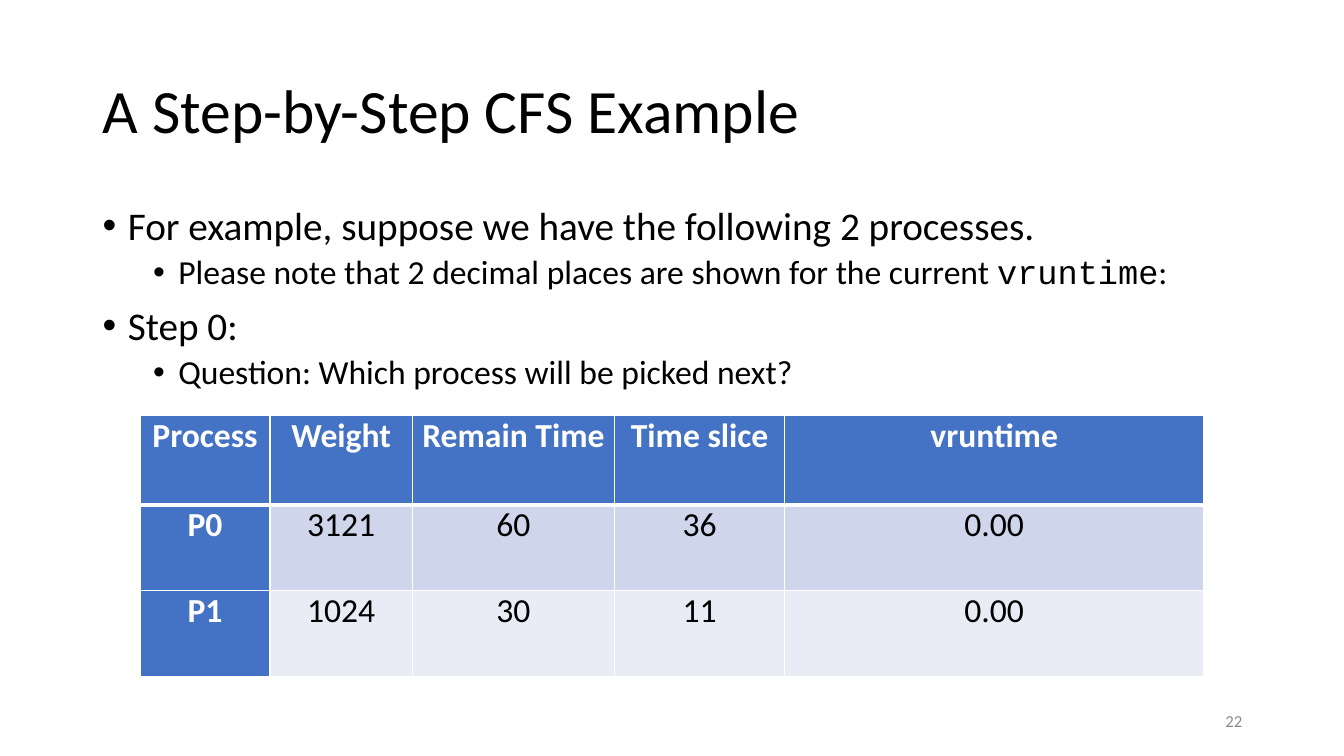
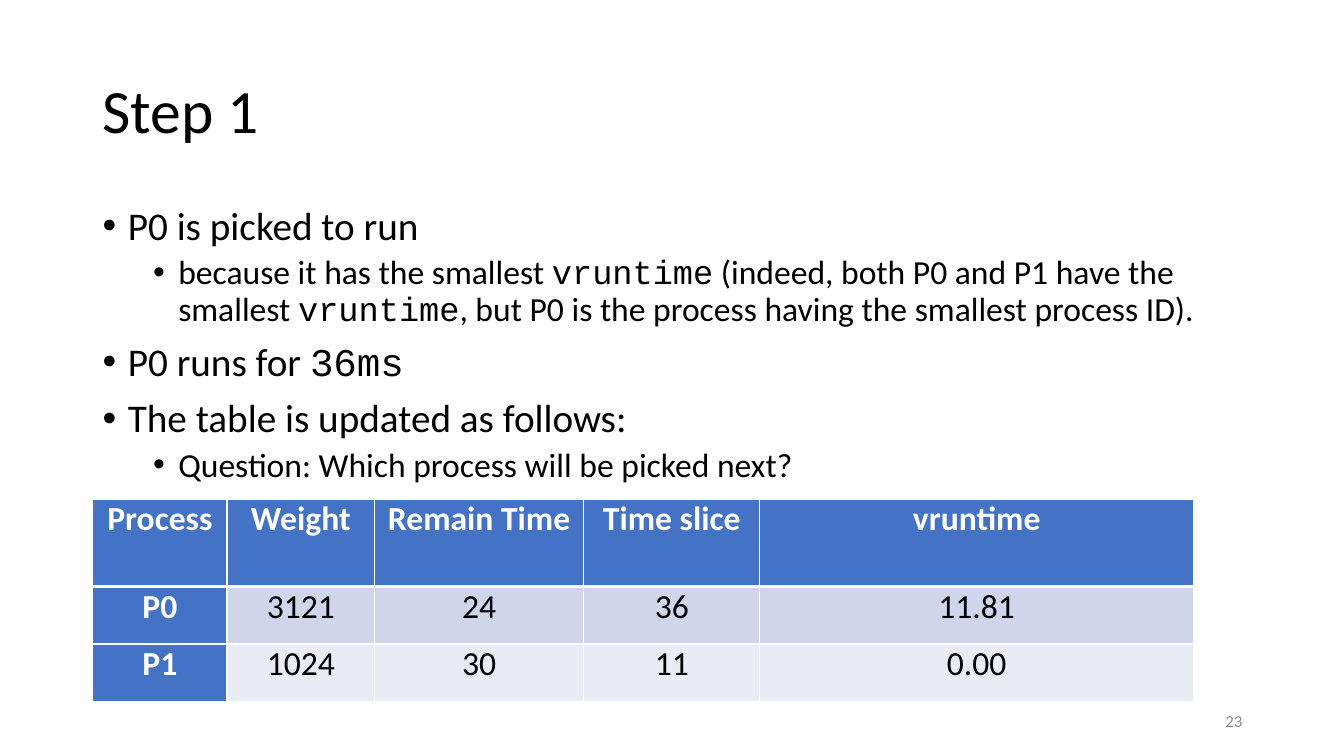
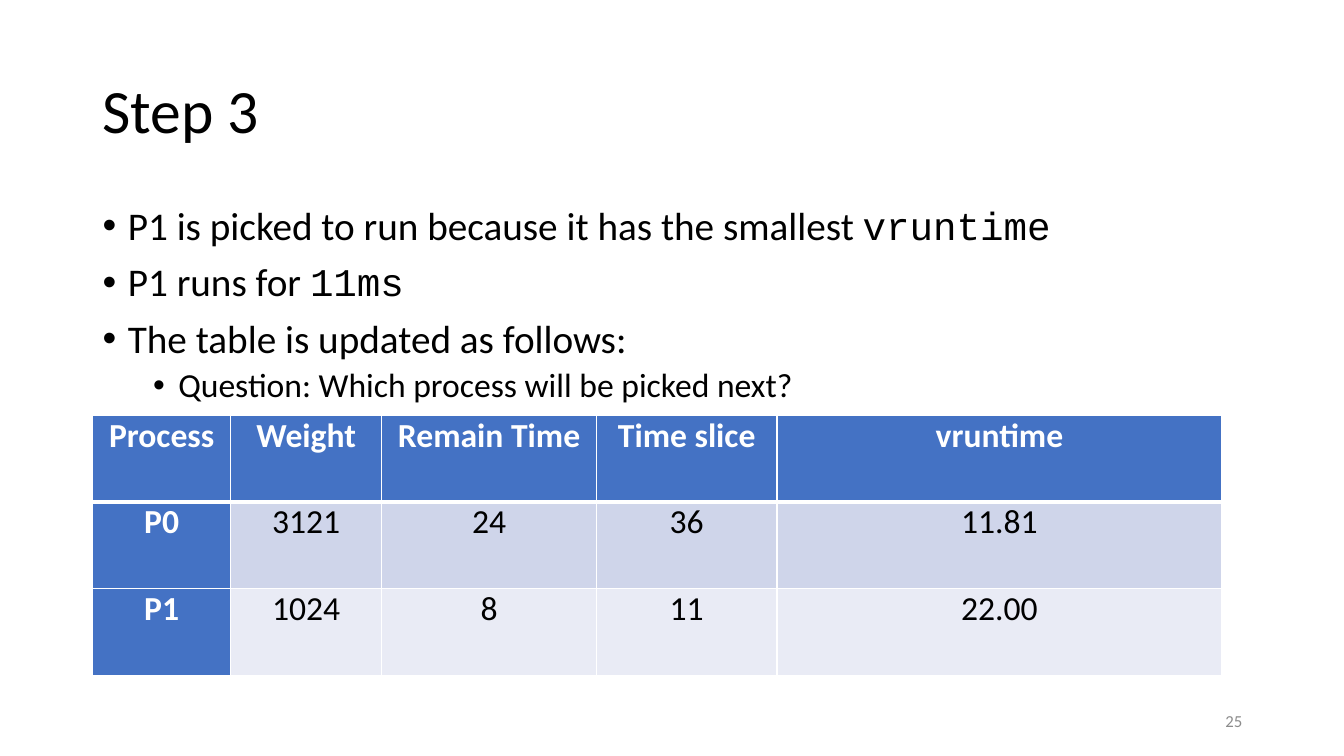
from dataclasses import dataclass

from lxml.etree import SubElement, Element
from pptx import Presentation
from pptx.dml.color import RGBColor
from pptx.enum.text import MSO_ANCHOR as Anchor, PP_ALIGN as Align
from pptx.oxml.ns import qn
from pptx.slide import Slide
from pptx.table import _Cell as Cell
from pptx.text.text import TextFrame, _Paragraph as Paragraph, _Run as Run
from pptx.util import Pt

PX = 9144
COLORS = {
    "text": "000000",
    "number": "8C8C8C",
    "accent": "4472C4",
    "odd": "CFD5EA",
    "even": "E9EBF5",
    "white": "FFFFFF",
}
SANS, MONO = "Calibri", "Courier New"
HEADINGS = ("Process", "Weight", "Remain Time", "Time slice", "vruntime")
COLUMN_SHARES = (122, 134, 190, 160, 394)
QUESTION = "Question: Which process will be picked next?"
UPDATED = "The table is updated as follows:"


@dataclass(frozen=True)
class Box:
    left: int
    top: int
    width: int
    height: int


@dataclass(frozen=True)
class Level:
    indent: int
    size: int
    space_before: int


@dataclass(frozen=True)
class Bullet:
    text: str
    level: int = 0


@dataclass(frozen=True)
class Schedule:
    left: int
    top: int
    width: int
    row_heights: tuple[int, int, int]
    processes: tuple[tuple[str, ...], ...]


@dataclass(frozen=True)
class Step:
    title: str
    number: int
    bullets: tuple[Bullet, ...]
    schedule: Schedule


TITLE_BOX = Box(92, 40, 1150, 145)
BODY_BOX = Box(92, 200, 1150, 476)
NUMBER_BOX = Box(942, 695, 300, 40)
HANGING = 25
LEVELS = (Level(25, 28, 10), Level(75, 24, 5))

STEPS = (
    Step(
        "A Step-by-Step CFS Example",
        22,
        (
            Bullet("For example, suppose we have the following 2 processes."),
            Bullet("Please note that 2 decimal places are shown for the current `vruntime`:", 1),
            Bullet("Step 0:"),
            Bullet(QUESTION, 1),
        ),
        Schedule(139, 412, 1055, (89, 85, 85), (
            ("P0", "3121", "60", "36", "0.00"),
            ("P1", "1024", "30", "11", "0.00"),
        )),
    ),
    Step(
        "Step 1",
        23,
        (
            Bullet("P0 is picked to run"),
            Bullet("because it has the smallest `vruntime` (indeed, both P0 and P1 have the "
                   "smallest `vruntime`, but P0 is the process having the smallest process ID).", 1),
            Bullet("P0 runs for `36ms`"),
            Bullet(UPDATED),
            Bullet(QUESTION, 1),
        ),
        Schedule(92, 495, 1092, (87, 57, 57), (
            ("P0", "3121", "24", "36", "11.81"),
            ("P1", "1024", "30", "11", "0.00"),
        )),
    ),
    Step(
        "Step 3",
        25,
        (
            Bullet("P1 is picked to run because it has the smallest `vruntime`"),
            Bullet("P1 runs for `11ms`"),
            Bullet(UPDATED),
            Bullet(QUESTION, 1),
        ),
        Schedule(92, 412, 1120, (86, 86, 86), (
            ("P0", "3121", "24", "36", "11.81"),
            ("P1", "1024", "8", "11", "22.00"),
        )),
    ),
)


def style_run(run: Run, size: int, color: str = "text", face: str = SANS, bold: bool = False) -> None:
    run.font.size = Pt(size)
    run.font.name = face
    run.font.bold = bold
    run.font.color.rgb = RGBColor.from_string(COLORS[color])


def add_frame(slide: Slide, box: Box, anchor: Anchor) -> TextFrame:
    frame = slide.shapes.add_textbox(
        box.left * PX, box.top * PX, box.width * PX, box.height * PX
    ).text_frame
    frame.word_wrap = True
    frame.vertical_anchor = anchor
    return frame


def add_line(slide: Slide, box: Box, text: str, size: int, color: str, align: Align) -> Paragraph:
    frame = add_frame(slide, box, Anchor.MIDDLE)
    frame.text = text
    line = frame.paragraphs[0]
    line.alignment = align
    style_run(line.runs[0], size, color)
    return line


def write_bullet(paragraph: Paragraph, bullet: Bullet) -> None:
    level = LEVELS[bullet.level]
    paragraph.level = bullet.level
    paragraph.line_spacing = 0.9
    paragraph.space_before = Pt(level.space_before)
    properties = paragraph._p.get_or_add_pPr()
    properties.set("marL", str(level.indent * PX))
    properties.set("indent", str(-HANGING * PX))
    SubElement(properties, qn("a:buFont"), typeface="Arial")
    SubElement(properties, qn("a:buChar"), char="•")
    for index, part in enumerate(bullet.text.split("`")):
        if part:
            run = paragraph.add_run()
            run.text = part
            style_run(run, level.size, face=MONO if index % 2 else SANS)


def add_bullets(slide: Slide, bullets: tuple[Bullet, ...]) -> None:
    frame = add_frame(slide, BODY_BOX, Anchor.TOP)
    for index, bullet in enumerate(bullets):
        write_bullet(frame.add_paragraph() if index else frame.paragraphs[0], bullet)


def set_borders(cell: Cell, top: int, bottom: int) -> None:
    properties = cell._tc.get_or_add_tcPr()
    widths = {"lnL": 1, "lnR": 1, "lnT": top, "lnB": bottom}
    for index, (side, width) in enumerate(widths.items()):
        border = Element(qn(f"a:{side}"), w=str(Pt(width)))
        fill = SubElement(border, qn("a:solidFill"))
        SubElement(fill, qn("a:srgbClr"), val=COLORS["white"])
        properties.insert(index, border)


def write_cell(cell: Cell, text: str, row: int, column: int) -> None:
    heading = row == 0 or column == 0
    fill = "accent" if heading else ("even", "odd")[row % 2]
    cell.fill.solid()
    cell.fill.fore_color.rgb = RGBColor.from_string(COLORS[fill])
    cell.margin_left = cell.margin_right = 7 * PX
    cell.margin_top = cell.margin_bottom = 0
    cell.vertical_anchor = Anchor.TOP
    cell.text_frame.text = text
    paragraph = cell.text_frame.paragraphs[0]
    paragraph.alignment = Align.CENTER
    style_run(paragraph.runs[0], 24, "white" if heading else "text", bold=heading)
    set_borders(cell, top=3 if row == 1 else 1, bottom=3 if row == 0 else 1)


def add_schedule(slide: Slide, schedule: Schedule) -> None:
    rows = (HEADINGS, *schedule.processes)
    table = slide.shapes.add_table(
        len(rows), len(HEADINGS), schedule.left * PX, schedule.top * PX,
        schedule.width * PX, sum(schedule.row_heights) * PX,
    ).table
    for column, share in zip(table.columns, COLUMN_SHARES):
        column.width = schedule.width * PX * share // sum(COLUMN_SHARES)
    for row, height in zip(table.rows, schedule.row_heights):
        row.height = height * PX
    for row_index, values in enumerate(rows):
        for column_index, value in enumerate(values):
            write_cell(table.cell(row_index, column_index), value, row_index, column_index)


def main() -> None:
    deck = Presentation()
    deck.slide_width, deck.slide_height = 1333 * PX, 750 * PX
    blank = deck.slide_layouts[6]
    for step in STEPS:
        slide = deck.slides.add_slide(blank)
        title = add_line(slide, TITLE_BOX, step.title, 44, "text", Align.LEFT)
        title.line_spacing = 0.9
        add_bullets(slide, step.bullets)
        add_line(slide, NUMBER_BOX, str(step.number), 12, "number", Align.RIGHT)
        add_schedule(slide, step.schedule)
    deck.save("out.pptx")


if __name__ == "__main__":
    main()
